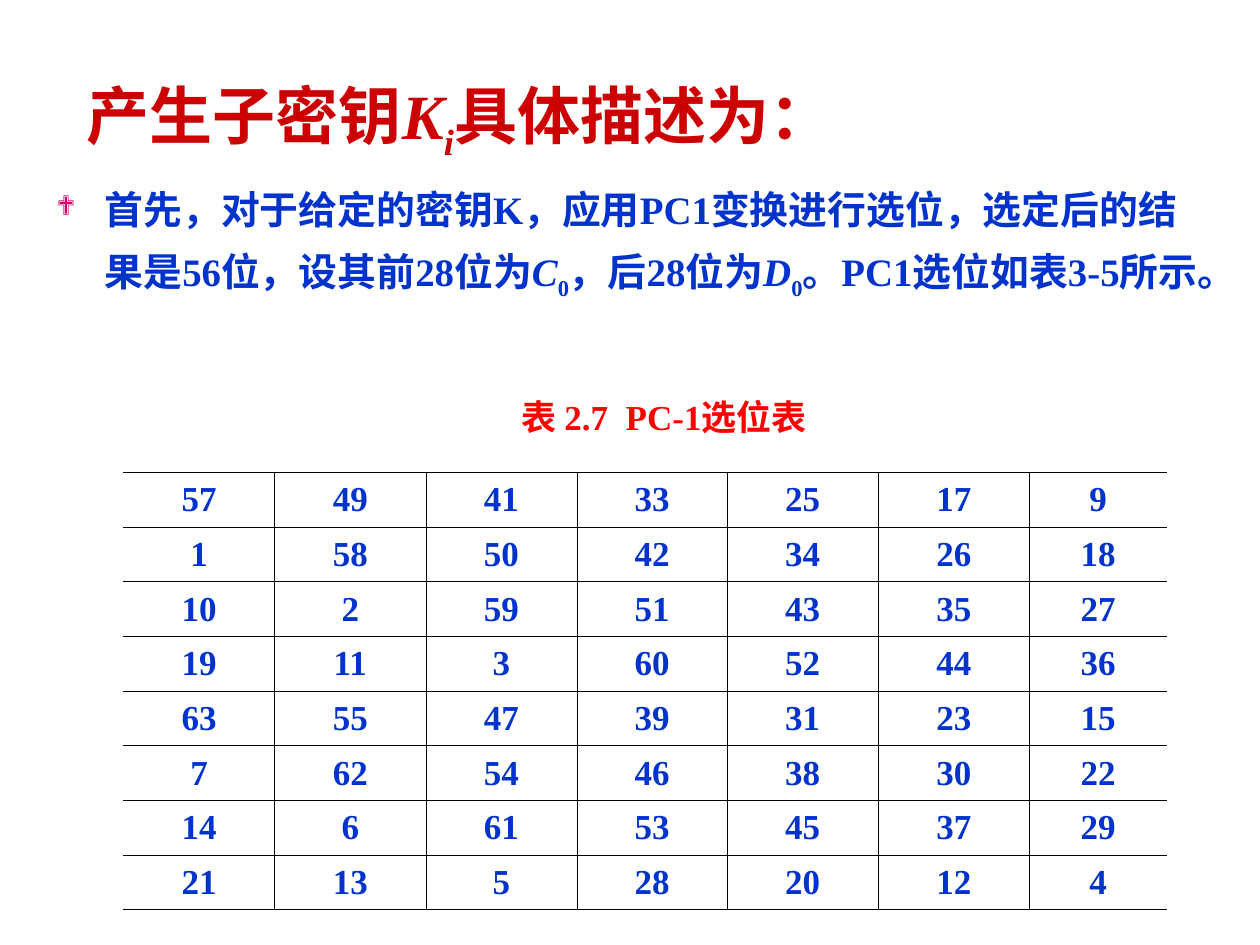
from lxml.etree import SubElement
from pptx import Presentation
from pptx.dml.color import RGBColor
from pptx.enum.lang import MSO_LANGUAGE_ID
from pptx.enum.text import MSO_ANCHOR, MSO_AUTO_SIZE, PP_ALIGN
from pptx.oxml.ns import qn
from pptx.util import Inches, Pt

FONT = "Times New Roman"
RED, BLUE, CAPTION_RED, BULLET, BLACK = "CC0000", "0033CC", "FF0000", "CC0066", "000000"

# Each run is its text and its style: "" plain, "i" italic, "s" subscript
TITLE = [("产生子密钥", ""), ("K", "i"), ("i", "is"), ("具体描述为：", "")]
BODY = [
    ("首先，对于给定的密钥K，应用PC1变换进行选位，选定后的结果是56位，设其前28位为", ""),
    ("C", "i"), ("0", "s"), ("，后28位为", ""),
    ("D", "i"), ("0", "s"), ("。PC1选位如表3-5所示。", ""),
]
CAPTION = [("表 2.7  PC-1选位表", "")]
PC1_ROWS = [
    (57, 49, 41, 33, 25, 17, 9),
    (1, 58, 50, 42, 34, 26, 18),
    (10, 2, 59, 51, 43, 35, 27),
    (19, 11, 3, 60, 52, 44, 36),
    (63, 55, 47, 39, 31, 23, 15),
    (7, 62, 54, 46, 38, 30, 22),
    (14, 6, 61, 53, 45, 37, 29),
    (21, 13, 5, 28, 20, 12, 4),
]
COLUMN_WIDTHS = [1.2, 1.2, 1.2, 1.19, 1.2, 1.2, 1.09]
TABLE_HEIGHT = 3.47


def color(value):
    return RGBColor.from_string(value)


def write_runs(paragraph, runs, size, text_color):
    for text, style in runs:
        run = paragraph.add_run()
        run.text = text
        values = {"name": FONT, "size": Pt(size), "bold": True, "italic": "i" in style,
                  "language_id": MSO_LANGUAGE_ID.SIMPLIFIED_CHINESE}
        for name, value in values.items():
            setattr(run.font, name, value)
        run.font.color.rgb = color(text_color)
        if "s" in style:
            run.font._element.set("baseline", "-25000")


def place(shape, left, top, width, height):
    for name, value in zip(("left", "top", "width", "height"), (left, top, width, height)):
        setattr(shape, name, Inches(value))


def add_bullet(paragraph):
    properties = paragraph._p.get_or_add_pPr()
    properties.set("marL", str(Inches(0.38)))
    properties.set("indent", str(-Inches(0.38)))
    bullet_color = SubElement(properties, qn("a:buClr"))
    SubElement(bullet_color, qn("a:srgbClr"), val=BULLET)
    SubElement(properties, qn("a:buSzPct"), val="70000")
    SubElement(properties, qn("a:buFont"), typeface="Wingdings")
    SubElement(properties, qn("a:buChar"), char="❖")


def set_borders(cell, visible_sides):
    properties = cell._tc.get_or_add_tcPr()
    for side in ("L", "R", "T", "B"):
        line = SubElement(properties, qn(f"a:ln{side}"), w=str(Pt(0.45)))
        if side in visible_sides:
            fill = SubElement(line, qn("a:solidFill"))
            SubElement(fill, qn("a:srgbClr"), val=BLACK)
        else:
            SubElement(line, qn("a:noFill"))


def add_pc1_table(slide):
    row_count, column_count = len(PC1_ROWS), len(COLUMN_WIDTHS)
    table = slide.shapes.add_table(
        row_count, column_count, Inches(0.98), Inches(3.75),
        Inches(sum(COLUMN_WIDTHS)), Inches(TABLE_HEIGHT)).table
    table.first_row = table.horz_banding = False
    for column, width in zip(table.columns, COLUMN_WIDTHS):
        column.width = Inches(width)
    for row_index, numbers in enumerate(PC1_ROWS):
        for column_index, number in enumerate(numbers):
            cell = table.cell(row_index, column_index)
            cell.vertical_anchor = MSO_ANCHOR.MIDDLE
            sides = "TB"
            if column_index > 0:
                sides += "L"
            if column_index < column_count - 1:
                sides += "R"
            set_borders(cell, sides)
            cell.fill.background()
            paragraph = cell.text_frame.paragraphs[0]
            paragraph.alignment = PP_ALIGN.CENTER
            write_runs(paragraph, [(str(number), "")], 20, BLUE)


def main():
    presentation = Presentation()
    presentation.slide_width, presentation.slide_height = Inches(10), Inches(7.5)
    slide = presentation.slides.add_slide(presentation.slide_layouts[1])

    title = slide.shapes.title
    place(title, 0.59, 0.44, 6.54, 1.02)
    title.text_frame.auto_size = MSO_AUTO_SIZE.NONE
    title.text_frame.vertical_anchor = MSO_ANCHOR.MIDDLE
    paragraph = title.text_frame.paragraphs[0]
    paragraph.alignment = PP_ALIGN.LEFT
    write_runs(paragraph, TITLE, 36, RED)

    body = slide.placeholders[1]
    place(body, 0.35, 1.31, 9.37, 1.49)
    body.text_frame.auto_size = MSO_AUTO_SIZE.NONE
    paragraph = body.text_frame.paragraphs[0]
    paragraph.line_spacing = 1.3
    paragraph.space_before = Pt(0)
    add_bullet(paragraph)
    write_runs(paragraph, BODY, 22.2, BLUE)

    caption = slide.shapes.add_textbox(Inches(4.04), Inches(3.09), Inches(2.67), Inches(0.44))
    caption.text_frame.word_wrap = False
    caption.text_frame.auto_size = MSO_AUTO_SIZE.SHAPE_TO_FIT_TEXT
    write_runs(caption.text_frame.paragraphs[0], CAPTION, 20, CAPTION_RED)

    add_pc1_table(slide)
    presentation.save("out.pptx")


if __name__ == "__main__":
    main()
